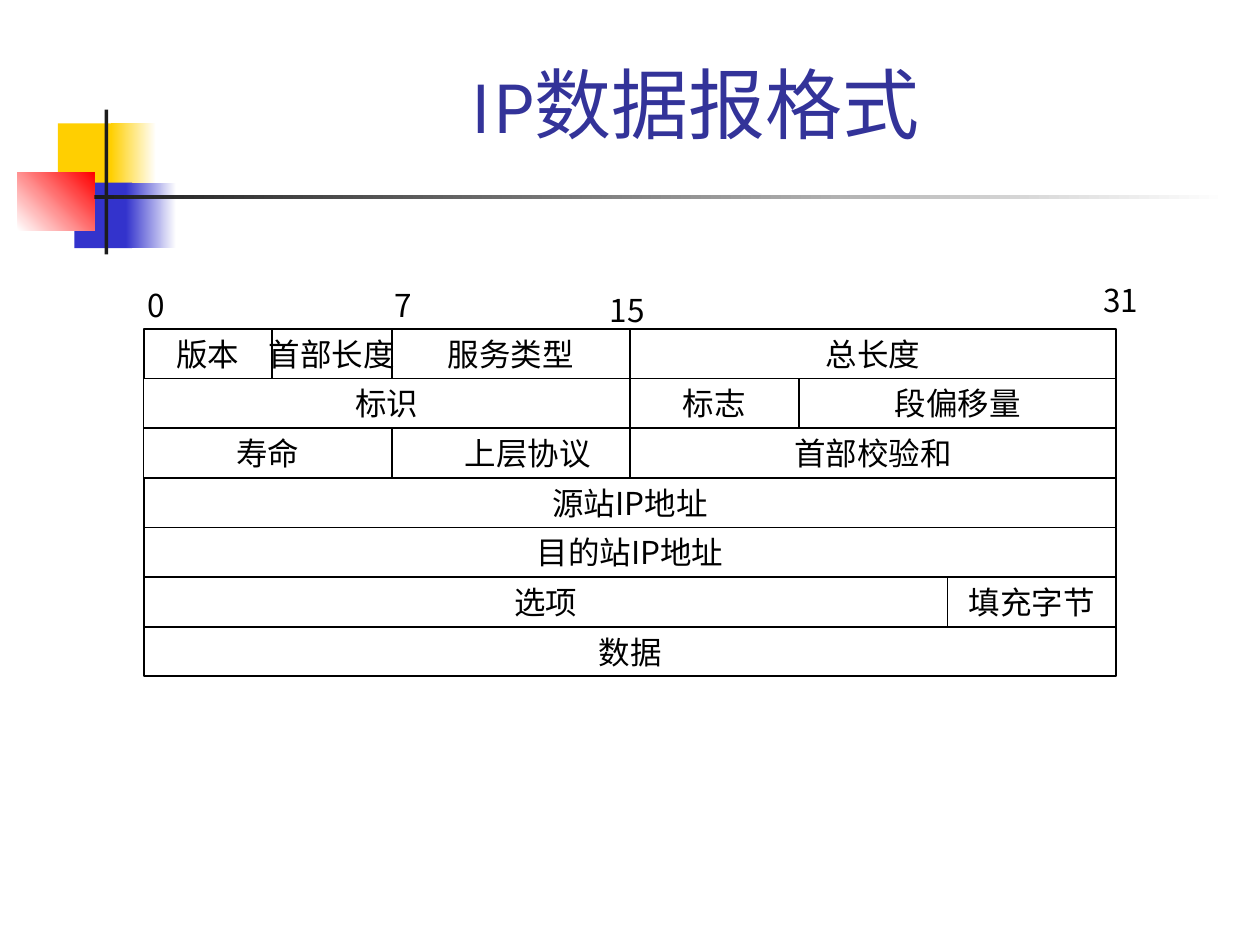
from pptx import Presentation
from pptx.dml.color import RGBColor
from pptx.enum.shapes import MSO_SHAPE
from pptx.enum.text import MSO_ANCHOR, MSO_AUTO_SIZE, PP_ALIGN
from pptx.util import Inches, Pt

THEME = {
    "head": ("Karla", 44, "333399"),
    "body": ("Noto Sans CJK JP", 18, "000000"),
    "label": ("Karla", 18, "000000"),
    "gold": "FFCF01", "blue": "3333CC", "red": "FF0000",
    "dark": "1C1C1C", "white": "FFFFFF", "line": "000000",
}
TITLE = "IP数据报格式"
DECOR = [
    (0.46, 0.98, 0.48, 0.52, ["gold"], 0),
    (0.88, 0.98, 0.36, 0.52, ["gold", "white"], 0),
    (0.59, 1.45, 0.46, 0.52, ["blue"], 0),
    (1, 1.45, 0.4, 0.52, ["blue", "white"], 0),
    (0.14, 1.37, 0.61, 0.46, ["white", "red"], 45),
    (0.83, 0.87, 0.03, 1.15, ["dark"], 0),
    (0.75, 1.55, 9, 0.03, ["dark", "white"], 0),
]
LEFT, TOP, RIGHT, STEP = 1.14, 2.61, 8.86, 0.394
MID, BYTE, FLAG = 5, 3.11, 1.34
ROWS = [
    [("版本", LEFT), ("首部长度", 2.16), ("服务类型", BYTE), ("总长度", MID)],
    [("标识", LEFT), ("标志", MID), ("段偏移量", MID + FLAG)],
    [("寿命", LEFT), (None, BYTE), ("首部校验和", MID)],
    [("源站IP地址", LEFT)],
    [("目的站IP地址", LEFT)],
    [("选项", LEFT), ("填充字节", RIGHT - FLAG)],
    [("数据", LEFT)],
]
NOTES = [
    ("0", 1.07, 2.22, 0.34, "body"),
    ("7", 3.03, 2.22, 0.34, "body"),
    ("15", 4.74, 2.26, 0.48, "body"),
    ("31", 8.66, 2.18, 0.48, "body"),
    ("上层协议", 3.59, TOP + 2 * STEP, 1.2, "label"),
]


def tint(name):
    return RGBColor.from_string(THEME[name])


def write(frame, text, style, align):
    para = frame.paragraphs[0]
    para.text = text
    para.alignment = align
    face, size, ink = THEME[style]
    font = para.font
    font.name, font.size = face, Pt(size)
    font.color.rgb = RGBColor.from_string(ink)


def block(slide, *place):
    shape = slide.shapes.add_shape(MSO_SHAPE.RECTANGLE, *map(Inches, place))
    shape.shadow.inherit = False
    return shape


def decorate(slide):
    for *place, tones, angle in DECOR:
        shape = block(slide, *place)
        shape.line.fill.background()
        fill = shape.fill
        if len(tones) == 1:
            fill.solid()
            fill.fore_color.rgb = tint(tones[0])
            continue
        fill.gradient()
        fill.gradient_angle = angle
        for stop, tone, spot in zip(fill.gradient_stops, tones, (0, 1)):
            stop.color.rgb = tint(tone)
            stop.position = spot


def fields(slide):
    for i, row in enumerate(ROWS):
        ends = [left for _, left in row[1:]] + [RIGHT]
        for (text, left), end in zip(row, ends):
            if text is None:
                continue
            shape = block(slide, left, TOP + i * STEP, end - left, STEP)
            shape.fill.background()
            shape.line.color.rgb = tint("line")
            shape.line.width = Pt(1)
            frame = shape.text_frame
            frame.word_wrap = False
            frame.vertical_anchor = MSO_ANCHOR.MIDDLE
            write(frame, text, "body", PP_ALIGN.CENTER)


def notes(slide):
    for text, left, top, width, style in NOTES:
        place = map(Inches, (left, top, width, 0.4))
        frame = slide.shapes.add_textbox(*place).text_frame
        frame.word_wrap = False
        frame.auto_size = MSO_AUTO_SIZE.SHAPE_TO_FIT_TEXT
        write(frame, text, style, PP_ALIGN.LEFT)


def main():
    deck = Presentation()
    deck.slide_width, deck.slide_height = Inches(10), Inches(7.5)
    slide = deck.slides.add_slide(deck.slide_layouts[5])
    head = slide.shapes.title
    head.left, head.top = Inches(1.26), Inches(0.23)
    head.width, head.height = Inches(8.52), Inches(1)
    head.text_frame.vertical_anchor = MSO_ANCHOR.BOTTOM
    write(head.text_frame, TITLE, "head", PP_ALIGN.CENTER)
    decorate(slide)
    fields(slide)
    notes(slide)
    deck.save("out.pptx")


if __name__ == "__main__":
    main()
